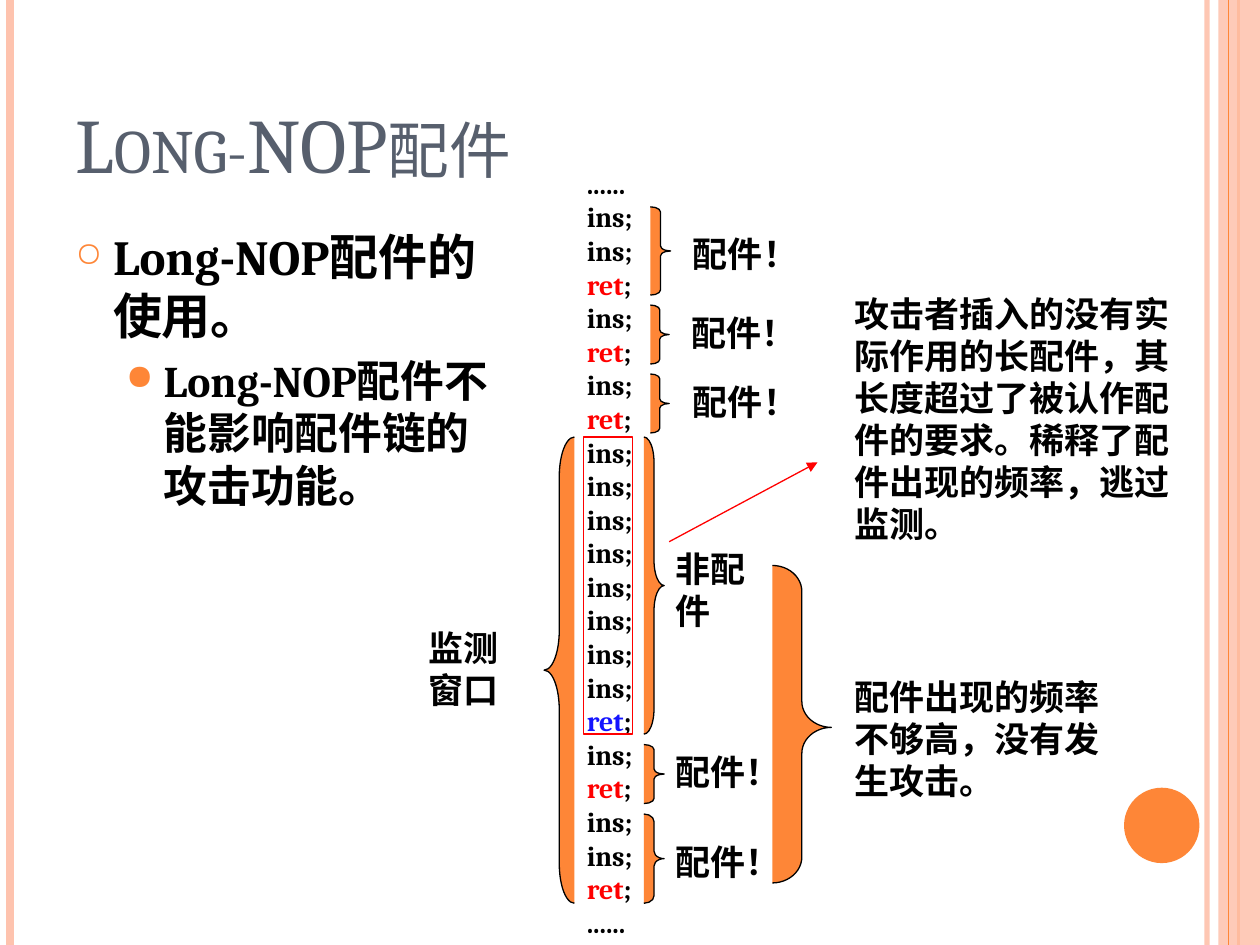
"""Build the slide on Long-NOP gadgets and the detection window."""
from lxml import etree
from pptx import Presentation, util as u
from pptx.dml.color import RGBColor
from pptx.enum import shapes, text
from pptx.oxml import ns

FONT = "Cambria"
BLACK = RGBColor(0x00, 0x00, 0x00)
RED = RGBColor(0xFF, 0x00, 0x00)
BLUE = RGBColor(0x14, 0x14, 0xFF)
ORANGE = RGBColor(0xFE, 0x86, 0x37)
PEACH = RGBColor(0xFE, 0xC3, 0xAE)
SLATE = RGBColor(0x57, 0x5F, 0x6D)
SHAPE = shapes.MSO_SHAPE

WIDTH, HEIGHT = 25.4, 19.05
TITLE = "Long-NOP配件"
STRIPES = [(24.33, PEACH, 3, 93), (0.2, PEACH, 4.5, 100), (24.97, ORANGE, 1.5, 100)]
GADGETS = [(2, RED), (1, RED), (1, RED), (8, BLUE), (1, RED), (2, RED)]
BULLETS = [
    ("Long-NOP配件的使用。", 28, "○", 70, 0.76, 6),
    ("Long-NOP配件不能影响配件链的攻击功能。", 25, "●", 80, 1.78, 5),
]
BRACES = [
    (SHAPE.RIGHT_BRACE, (13.11, 4.17, 0.41, 1.78), 0.25, 0.5),
    (SHAPE.RIGHT_BRACE, (13.11, 6.15, 0.38, 1.19), 0.25, 0.5),
    (SHAPE.RIGHT_BRACE, (13.11, 7.54, 0.38, 1.19), 0.25, 0.5),
    (SHAPE.RIGHT_BRACE, (12.98, 8.81, 0.41, 5.99), 1.25, 0.5),
    (SHAPE.RIGHT_BRACE, (12.98, 15.01, 0.41, 1.19), 0.25, 0.5),
    (SHAPE.RIGHT_BRACE, (12.98, 16.41, 0.41, 1.8), 0.37, 0.5),
    (SHAPE.RIGHT_BRACE, (15.57, 11.4, 1.19, 6.4), 0.44, 0.51),
    (SHAPE.LEFT_BRACE, (10.97, 8.81, 0.61, 9.4), 1.31, 0.5),
]
GADGET_LABELS = [(13.72, 4.57), (13.69, 6.15), (13.72, 7.54), (13.36, 15.01), (13.36, 16.81)]
NOTES = [("配件！", (x, y, 3.35, 1.12)) for x, y in GADGET_LABELS] + [
    ("非配件", (13.36, 10.92, 2.01, 1.96)),
    ("监测窗口", (8.38, 12.5, 2.49, 1.96)),
    ("配件出现的频率不够高，没有发生攻击。", (16.97, 13.49, 5.66, 2.82)),
    ("攻击者插入的没有实际作用的长配件，其长度超过了被认作配件的要求。稀释了配件出现的频率，逃过监测。",
     (16.97, 5.77, 7.24, 5.38)),
]


def cm(values):
    return [u.Cm(v) for v in values]


def sub(parent, tag, **attrs):
    return etree.SubElement(parent, ns.qn(tag), attrs)


def set_alpha(fill, percent):
    color = fill._xPr.find(".//" + ns.qn("a:srgbClr"))
    sub(color, "a:alpha", val=str(percent * 1000))


def add_shape(s, kind, box, fill=None, line=None):
    sp = s.shapes.add_shape(kind, *cm(box))
    sp.shadow.inherit = False
    if fill is None:
        sp.fill.background()
    else:
        sp.fill.solid()
        sp.fill.fore_color.rgb = fill
    if line is None:
        sp.line.fill.background()
    else:
        sp.line.color.rgb = line
        sp.line.width = u.Pt(0.75)
    return sp


def add_line(s, ends, color, width):
    c = s.shapes.add_connector(shapes.MSO_CONNECTOR.STRAIGHT, *cm(ends))
    c.line.color.rgb = color
    c.line.width = u.Pt(width)
    sub(c._element.spPr, "a:effectLst")
    return c


def add_text(s, box):
    tf = s.shapes.add_textbox(*cm(box)).text_frame
    tf.word_wrap = True
    return tf


def style(r, size, color=BLACK, bold=True):
    r.font.name = FONT
    r.font.size = u.Pt(size)
    r.font.bold = bold
    r.font.color.rgb = color


def add_run(p, words, size, color=BLACK):
    r = p.add_run()
    r.text = words
    style(r, size, color)


def add_frame(s):
    for x, color, width, alpha in STRIPES:
        c = add_line(s, (x, 0, x, HEIGHT), color, width)
        if alpha < 100:
            set_alpha(c.line.fill, alpha)
    band = add_shape(s, SHAPE.RECTANGLE, (24.56, 0, 0.84, HEIGHT), PEACH)
    set_alpha(band.fill, 87)
    add_line(s, (24.77, 0, 24.77, HEIGHT), ORANGE, 0.75)
    add_shape(s, SHAPE.OVAL, (22.66, 15.88, 1.52, 1.52), ORANGE)


def add_title(s):
    sp = s.shapes.title
    sp.left, sp.top, sp.width, sp.height = cm((1.27, 0.76, 20.75, 3.18))
    tf = sp.text_frame
    tf.text = TITLE
    tf.vertical_anchor = text.MSO_ANCHOR.BOTTOM
    p = tf.paragraphs[0]
    p.alignment = text.PP_ALIGN.LEFT
    style(p.runs[0], 44, SLATE, False)
    p.runs[0].font._element.set("cap", "small")


def add_bullets(s):
    tf = add_text(s, (1.27, 4.45, 8.84, 13.54))
    for i, (words, size, mark, percent, indent, before) in enumerate(BULLETS):
        p = tf.add_paragraph() if i else tf.paragraphs[0]
        p.level = i
        p.space_before = u.Pt(before)
        add_run(p, words, size)
        pPr = p._p.get_or_add_pPr()
        pPr.set("marL", str(u.Cm(indent)))
        pPr.set("indent", str(u.Cm(-0.76)))
        sub(sub(pPr, "a:buClr"), "a:srgbClr", val=str(ORANGE))
        sub(pPr, "a:buSzPct", val=str(percent * 1000))
        sub(pPr, "a:buChar", char=mark)


def add_code(s):
    lines = [[("......", BLACK)]]
    for count, color in GADGETS:
        lines += [[("ins;", BLACK)]] * count + [[("ret", color), (";", BLACK)]]
    lines.append([("......", BLACK)])
    tf = add_text(s, (11.58, 3.23, 3, 15.98))
    for i, parts in enumerate(lines):
        p = tf.add_paragraph() if i else tf.paragraphs[0]
        for words, color in parts:
            add_run(p, words, 16, color)


def main():
    prs = Presentation()
    prs.slide_width, prs.slide_height = cm((WIDTH, HEIGHT))
    s = prs.slides.add_slide(prs.slide_layouts[5])
    add_frame(s)
    add_title(s)
    add_bullets(s)
    add_code(s)
    for kind, box, curl, point in BRACES:
        sp = add_shape(s, kind, box, ORANGE, BLACK)
        sp.adjustments[0], sp.adjustments[1] = curl, point
    for words, box in NOTES:
        add_run(add_text(s, box).paragraphs[0], words, 20)
    add_shape(s, SHAPE.RECTANGLE, (11.76, 8.81, 0.99, 5.99), line=RED)
    arrow = add_line(s, (13.49, 10.92, 16.48, 9.32), RED, 0.75)
    sub(arrow.line._get_or_add_ln(), "a:tailEnd", type="triangle")
    prs.save("out.pptx")


if __name__ == "__main__":
    main()
